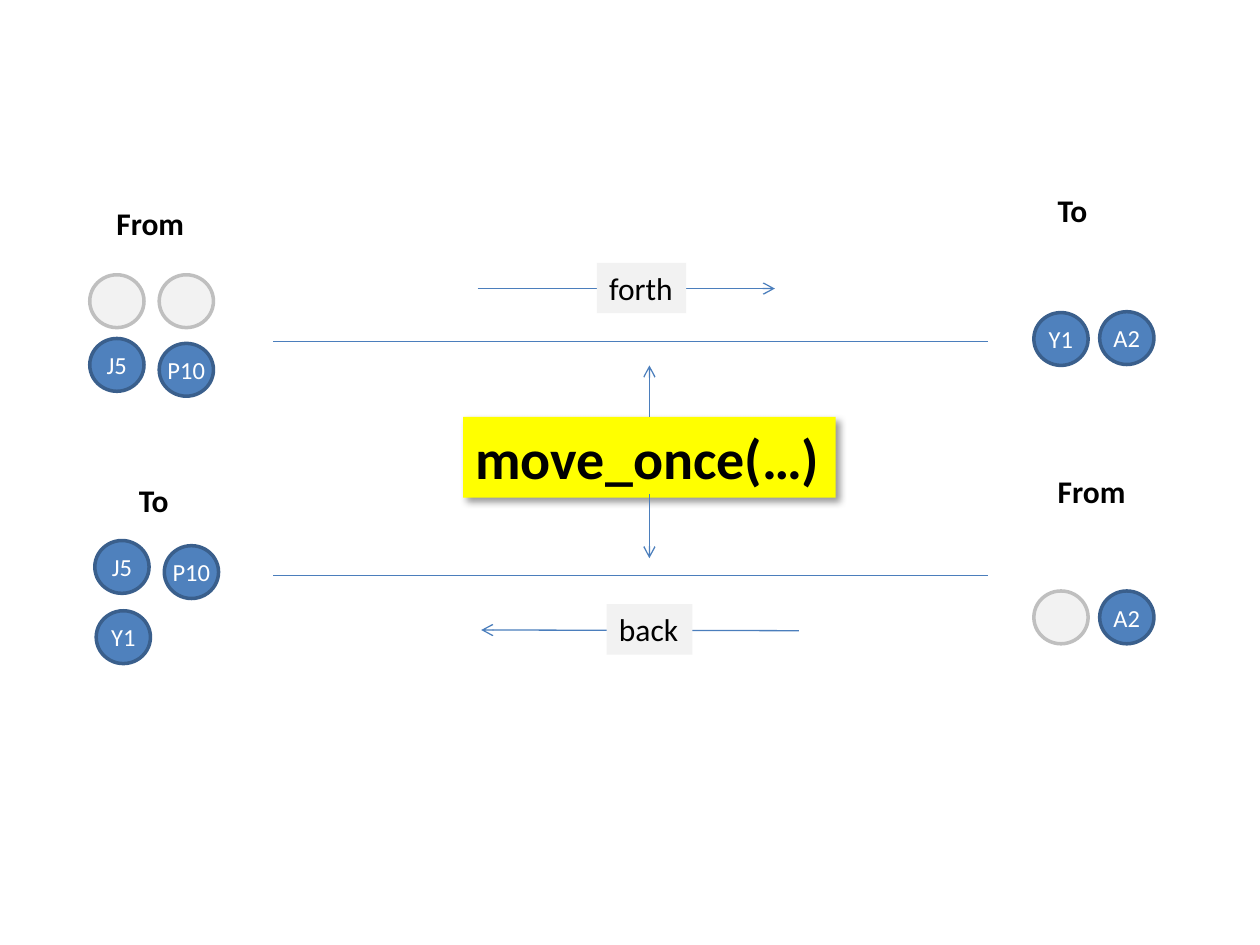
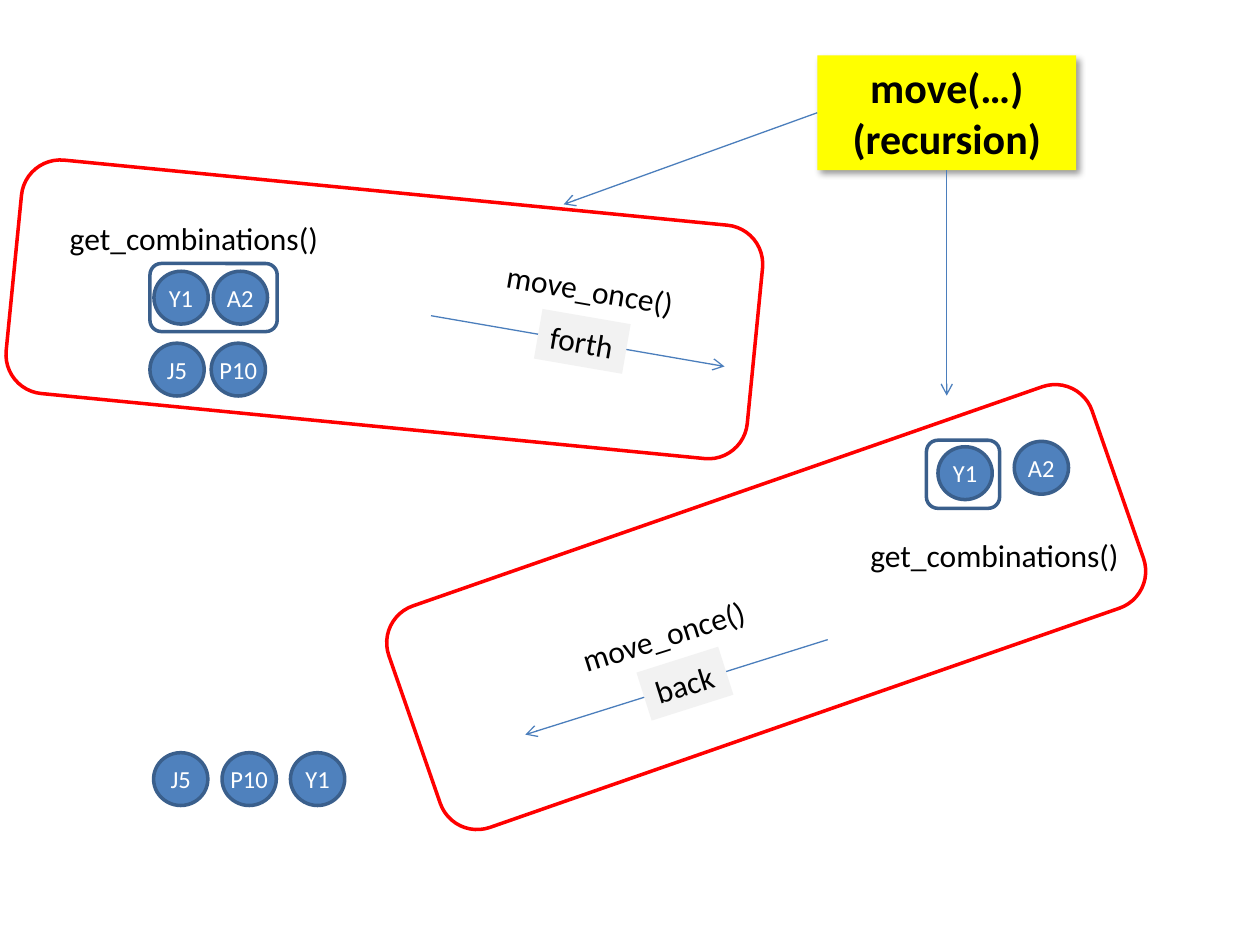
from lxml.etree import SubElement
from pptx import Presentation
from pptx.dml.color import RGBColor
from pptx.enum.shapes import MSO_CONNECTOR as CONN, MSO_SHAPE as SHAPE
from pptx.enum.text import MSO_ANCHOR as ANCHOR, PP_ALIGN as ALIGN
from pptx.oxml.ns import qn
from pptx.util import Pt

BLUE = RGBColor(0x4F, 0x81, 0xBD)
DARK_BLUE = RGBColor(0x3A, 0x5F, 0x8C)
LINE_BLUE = RGBColor(0x4B, 0x7E, 0xBC)
PALE = RGBColor(0xF2, 0xF2, 0xF2)
GREY = RGBColor(0xBF, 0xBF, 0xBF)
YELLOW = RGBColor(0xFF, 0xFF, 0x00)
RED = RGBColor(0xFF, 0x00, 0x00)
WHITE = RGBColor(0xFF, 0xFF, 0xFF)
BLACK = RGBColor(0x00, 0x00, 0x00)

BODY = {"size": Pt(18), "name": "Calibri", "bold": False}
HEADING = {**BODY, "bold": True}
TOKEN = {**BODY, "size": Pt(14)}
TOKEN_W, TOKEN_H = 31, 30.2
LABEL_H = 28.8
WIDTHS = {"forth": 51.1, "back": 49, "From": 53.3, "To": 31.7,
          "move_once()": 113, "get_combinations()": 161.3}


def write(sp, text, fmt, color=BLACK, align=ALIGN.LEFT, anchor=ANCHOR.TOP):
    """Fill a shape with unwrapped text, one paragraph per line."""
    tf = sp.text_frame
    tf.word_wrap = False
    tf.vertical_anchor = anchor
    for i, line in enumerate(text.split("\n")):
        p = tf.add_paragraph() if i else tf.paragraphs[0]
        p.alignment = align
        r = p.add_run()
        r.text = line
        r.font.color.rgb = color
        for name, value in fmt.items():
            setattr(r.font, name, value)


def add_box(s, kind, box, fill=None, line=None, rotation=0):
    """Add a preset shape with an optional fill and outline."""
    sp = s.shapes.add_shape(kind, *map(Pt, box))
    sp.shadow.inherit = False
    sp.rotation = rotation
    if fill is None:
        sp.fill.background()
    else:
        sp.fill.solid()
        sp.fill.fore_color.rgb = fill
    if line is None:
        sp.line.fill.background()
    else:
        sp.line.color.rgb = line
        sp.line.width = Pt(2)
    return sp


def add_line(s, start, end, arrow=True, joined=None):
    """Draw a thin line, optionally joined to a (shape, side) pair."""
    cn = s.shapes.add_connector(CONN.STRAIGHT, *map(Pt, (*start, *end)))
    cn.line.color.rgb = LINE_BLUE
    cn.line.width = Pt(0.75)
    if arrow:
        SubElement(cn.line._get_or_add_ln(), qn("a:tailEnd"), type="arrow")
    SubElement(cn._element.spPr, qn("a:effectLst"))
    if joined:
        cn.begin_connect(*joined)


def add_token(s, x, y, name=None):
    """Draw one circle: blue with its name, or pale and empty after a move."""
    fill, line = (BLUE, DARK_BLUE) if name else (PALE, GREY)
    sp = add_box(s, SHAPE.OVAL, (x, y, TOKEN_W, TOKEN_H), fill, line)
    if name:
        write(sp, name, TOKEN, WHITE, ALIGN.CENTER, ANCHOR.MIDDLE)


def add_label(s, x, y, text, fmt=BODY, rotation=0):
    """Place a plain one-line label."""
    tb = s.shapes.add_textbox(*map(Pt, (x, y, WIDTHS[text], LABEL_H)))
    tb.rotation = rotation
    write(tb, text, fmt)


def add_tag(s, x, y, text, rotation=0):
    """Place a direction name on a pale plate."""
    box = (x, y, WIDTHS[text], LABEL_H)
    write(add_box(s, SHAPE.RECTANGLE, box, PALE, rotation=rotation), text, BODY)


def add_call(s, box, text, size, align=ALIGN.LEFT):
    """Add the yellow function box with its soft shadow."""
    sp = add_box(s, SHAPE.RECTANGLE, box, YELLOW)
    effects = sp._element.spPr.find(qn("a:effectLst"))
    shadow = SubElement(effects, qn("a:outerShdw"), blurRad=str(Pt(4)),
                        dist=str(Pt(3)), dir="2700000", algn="tl", rotWithShape="0")
    color = SubElement(shadow, qn("a:srgbClr"), val=str(BLACK))
    SubElement(color, qn("a:alpha"), val="40000")
    write(sp, text, {**HEADING, "size": Pt(size)}, align=align)
    return sp


def add_lane(s, box, divider_y, arrow, tag, headings, tokens):
    """Draw one direction of travel: divider, arrow, headings and tokens."""
    x, y, w, _ = box
    add_line(s, (x + 105.2, y + divider_y), (x + w - 96.5, y + divider_y), arrow=False)
    x1, y1, x2, y2 = arrow
    add_line(s, (x + x1, y + y1), (x + x2, y + y2))
    add_tag(s, x + tag[0], y + tag[1], tag[2])
    for dx, dy, text in headings:
        add_label(s, x + dx, y + dy, text, HEADING)
    for dx, dy, *name in tokens:
        add_token(s, x + dx, y + dy, *name)


def add_panel(s, box, rotation, tilt, arrow, tag, step, choice, frame, tokens):
    """Draw one tilted red panel with its step and chosen tokens."""
    x, y = box[:2]
    x1, y1, x2, y2 = arrow
    add_line(s, (x + x1, y + y1), (x + x2, y + y2))
    add_tag(s, x + tag[0], y + tag[1], tag[2], tilt)
    add_label(s, x + step[0], y + step[1], "move_once()", rotation=tilt)
    add_label(s, x + choice[0], y + choice[1], "get_combinations()")
    for dx, dy, name in tokens:
        add_token(s, x + dx, y + dy, name)
    fx, fy, fw = frame
    add_box(s, SHAPE.ROUNDED_RECTANGLE, (x + fx, y + fy, fw, 38.9), line=DARK_BLUE)
    add_box(s, SHAPE.ROUNDED_RECTANGLE, box, line=RED, rotation=rotation)


def move_once_slide(s):
    """Build the slide about a single move."""
    add_lane(s, (51, 106, 610, 120), 89.1, (221.9, 58.9, 391.8, 58.9),
             (290, 44.2, "forth"), [(8.4, 7, "From"), (546.3, -0.5, "To")],
             [(0.3, 87.4, "J5"), (40, 90.2, "P10"), (539.8, 72.6, "Y1"),
              (577.4, 72.1, "A2"), (0.3, 51), (40, 51)])
    add_lane(s, (51, 266, 610, 120), 63, (405.5, 94.4, 224, 94),
             (295.6, 79.3, "back"), [(546.3, 0.4, "From"), (21.3, 5.4, "To")],
             [(3.2, 42.9, "J5"), (42.9, 45.8, "P10"), (4, 83, "Y1"),
              (577.4, 71.7, "A2"), (539.8, 71.7)])
    sp = add_call(s, (264.6, 238.3, 213, 46.1), "move_once(…)", 32)
    add_line(s, (371.1, 238.3), (371.1, 208.8), joined=(sp, 0))
    add_line(s, (371.1, 282.2), (371.1, 319))


def move_slide(s):
    """Build the slide about the recursive move."""
    add_panel(s, (6.9, 109.8, 425.5, 134), 5.6, 9.8, (239.4, 70.6, 407.1, 99.6),
              (300.3, 70.9, "forth"), (275.2, 41.3), (25.9, 11.9), (78.8, 40.8, 72.7),
              [(81.1, 45.2, "Y1"), (115, 45.2, "A2"),
               (78.8, 86.3, "J5"), (113.8, 86.3, "P10")])
    add_panel(s, (225.1, 279.9, 425.5, 134), 340.8, 342.4, (247.9, 85.6, 75.1, 139.9),
              (141.8, 96.4, "back"), (98.8, 68.5), (265.2, 22.9), (304.3, -28.3, 41.8),
              [(310.9, -24.6, "Y1"), (354.5, -27.7, "A2")])
    for i, name in enumerate(("J5", "P10", "Y1")):
        add_token(s, 87.8 + 39.1 * i, 430.1, name)
    sp = add_call(s, (467, 31.7, 148, 65.5), "move(…)\n(recursion)", 24, ALIGN.CENTER)
    add_line(s, (467, 64.45), (322.1, 116.8), joined=(sp, 1))
    add_line(s, (541, 97.2), (541, 226.1), joined=(sp, 2))


def main():
    """Build both slides and save them."""
    prs = Presentation()
    prs.slide_width, prs.slide_height = Pt(720), Pt(540)
    for build in (move_once_slide, move_slide):
        build(prs.slides.add_slide(prs.slide_layouts[6]))
    prs.save("out.pptx")


if __name__ == "__main__":
    main()
